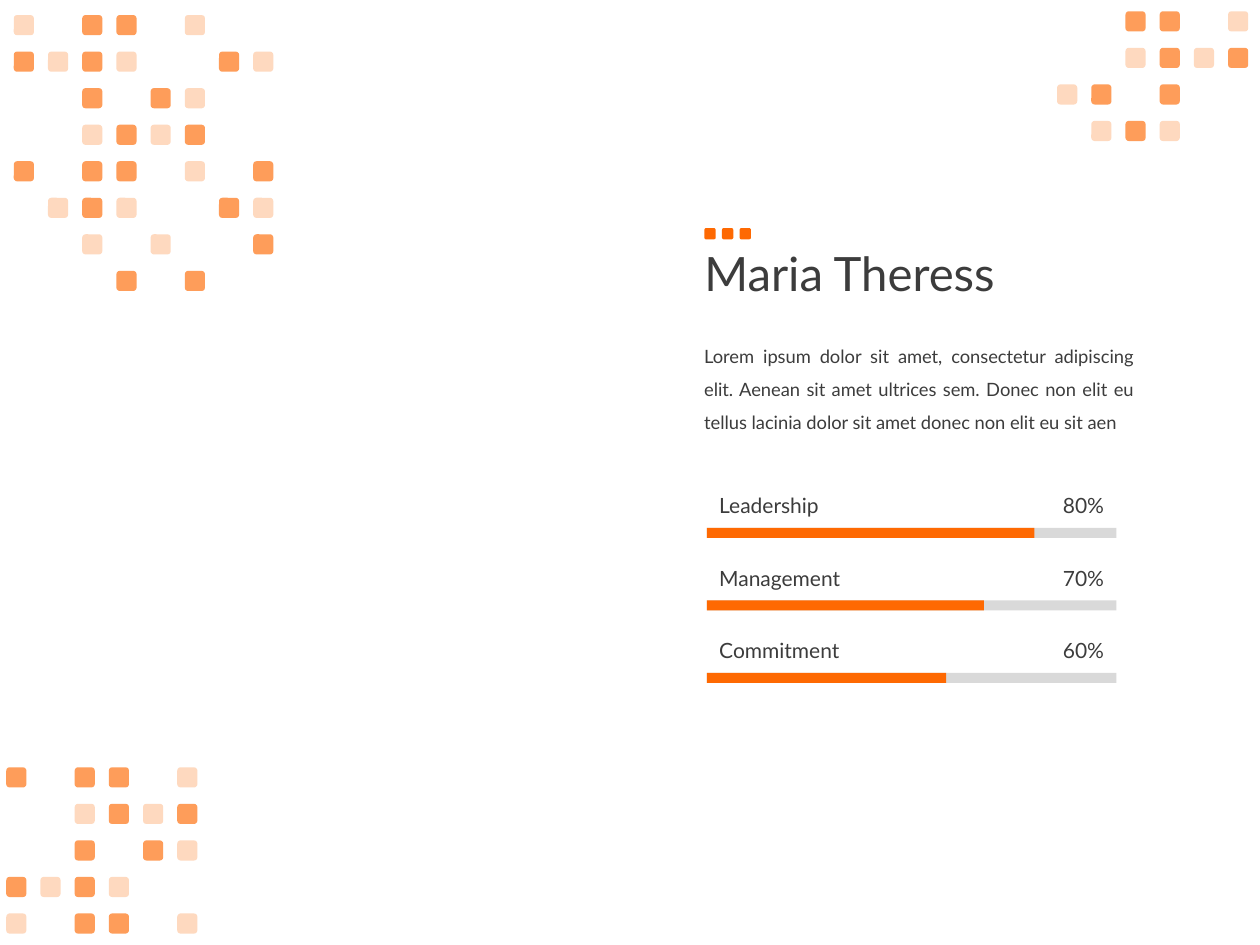
from lxml import etree
from pptx import Presentation
from pptx.dml.color import RGBColor
from pptx.enum.shapes import MSO_SHAPE
from pptx.enum.text import MSO_ANCHOR, MSO_AUTO_SIZE, PP_ALIGN
from pptx.oxml.ns import qn
from pptx.util import Inches, Pt

ORANGE = RGBColor(0xFE, 0x69, 0x02)
GREY = RGBColor(0xD9, 0xD9, 0xD9)
DARK = RGBColor(0x3C, 0x3C, 0x3C)
RECTANGLE, ROUNDED = MSO_SHAPE.RECTANGLE, MSO_SHAPE.ROUNDED_RECTANGLE
LEFT, RIGHT, JUSTIFY = PP_ALIGN.LEFT, PP_ALIGN.RIGHT, PP_ALIGN.JUSTIFY
TOP, MIDDLE = MSO_ANCHOR.TOP, MSO_ANCHOR.MIDDLE
NO_FIT, GROW = MSO_AUTO_SIZE.NONE, MSO_AUTO_SIZE.SHAPE_TO_FIT_TEXT

deck = Presentation()
deck.slide_width, deck.slide_height = Inches(10), Inches(7.5)
page = deck.slides.add_slide(deck.slide_layouts[5])


def add_block(kind, left, top, width, height, color, opacity=100):
    """Draw a borderless filled shape; opacity is a percentage."""
    block = page.shapes.add_shape(
        kind, Inches(left), Inches(top), Inches(width), Inches(height))
    block.shadow.inherit = False
    block.line.fill.background()
    block.fill.solid()
    block.fill.fore_color.rgb = color
    if opacity < 100:
        tint = block.fill._xPr.find(".//" + qn("a:srgbClr"))
        etree.SubElement(tint, qn("a:alpha"), val=str(opacity * 1000))


def write(box, place, text, size, align=LEFT, anchor=MIDDLE, spacing=1.0, fit=GROW):
    box.left, box.top, box.width, box.height = [Inches(length) for length in place]
    frame = box.text_frame
    frame.text = text
    for name, value in {"word_wrap": True, "auto_size": fit,
                        "vertical_anchor": anchor}.items():
        setattr(frame, name, value)
    para = frame.paragraphs[0]
    para.alignment, para.line_spacing = align, spacing
    span = para.runs[0]
    span.font.name, span.font.size = "Lato", Pt(size)
    span.font.color.rgb = DARK


# Corner patterns: D is a dark square, L a light one
SQUARE = 0.16
COLUMN, ROW = 1.9 / 7, 0.29
OPACITY = {"D": 65, "L": 25}
patterns = [
    (0.05, 6.09, ["D.DD.L", "..LDLD", "..D.DL", "DLDL", "L.DD.L"]),
    (0.11, 0.12, ["L.DD.L", "DLDL..DL", "..D.DL", "..LDLD",
                  "D.DD.L.D", ".LDL..DL", "..L.L..D", "...D.D"]),
    (8.39, 0.09, ["..DD.L", "..LDLD", "LD.D", ".LDL"]),
]
for left, top, rows in patterns:
    for row, marks in enumerate(rows):
        for column, mark in enumerate(marks):
            if mark in OPACITY:
                add_block(ROUNDED, left + column * COLUMN, top + row * ROW,
                          SQUARE, SQUARE, ORANGE, OPACITY[mark])

# Name and introduction
write(page.shapes.title, (5.49, 1.47, 8.62, 1.45), "Maria Theress", 27,
      spacing=0.9, fit=NO_FIT)
for dot in range(3):
    add_block(ROUNDED, 5.59 + dot * 0.14, 1.81, 0.09, 0.09, ORANGE)
write(page.shapes.add_textbox(0, 0, 0, 0), (5.49, 2.6, 3.61, 0.86),
      "Lorem ipsum dolor sit amet, consectetur adipiscing elit. Aenean sit amet "
      "ultrices sem. Donec non elit eu tellus lacinia dolor sit amet donec non "
      "elit eu sit aen", 10.5, align=JUSTIFY, anchor=TOP, spacing=1.5)

# Skill bars
BAR_LEFT, BAR_WIDTH, BAR_HEIGHT = 5.61, 3.25, 0.08
SKILL_PITCH = 1.15 / 2
skills = [("Leadership", "80%", 2.6), ("Management", "70%", 2.2),
          ("Commitment", "60%", 1.9)]
for index, (skill, score, filled) in enumerate(skills):
    label_top = 3.86 + index * SKILL_PITCH
    bar_top = label_top + 0.33
    add_block(RECTANGLE, BAR_LEFT, bar_top, BAR_WIDTH, BAR_HEIGHT, GREY)
    add_block(RECTANGLE, BAR_LEFT, bar_top, filled, BAR_HEIGHT, ORANGE)
    write(page.shapes.add_textbox(0, 0, 0, 0),
          (BAR_LEFT, label_top, 1.55, 0.3), skill, 12)
    write(page.shapes.add_textbox(0, 0, 0, 0),
          (BAR_LEFT + BAR_WIDTH - 0.79, label_top, 0.79, 0.3), score, 12, align=RIGHT)

deck.save("out.pptx")
